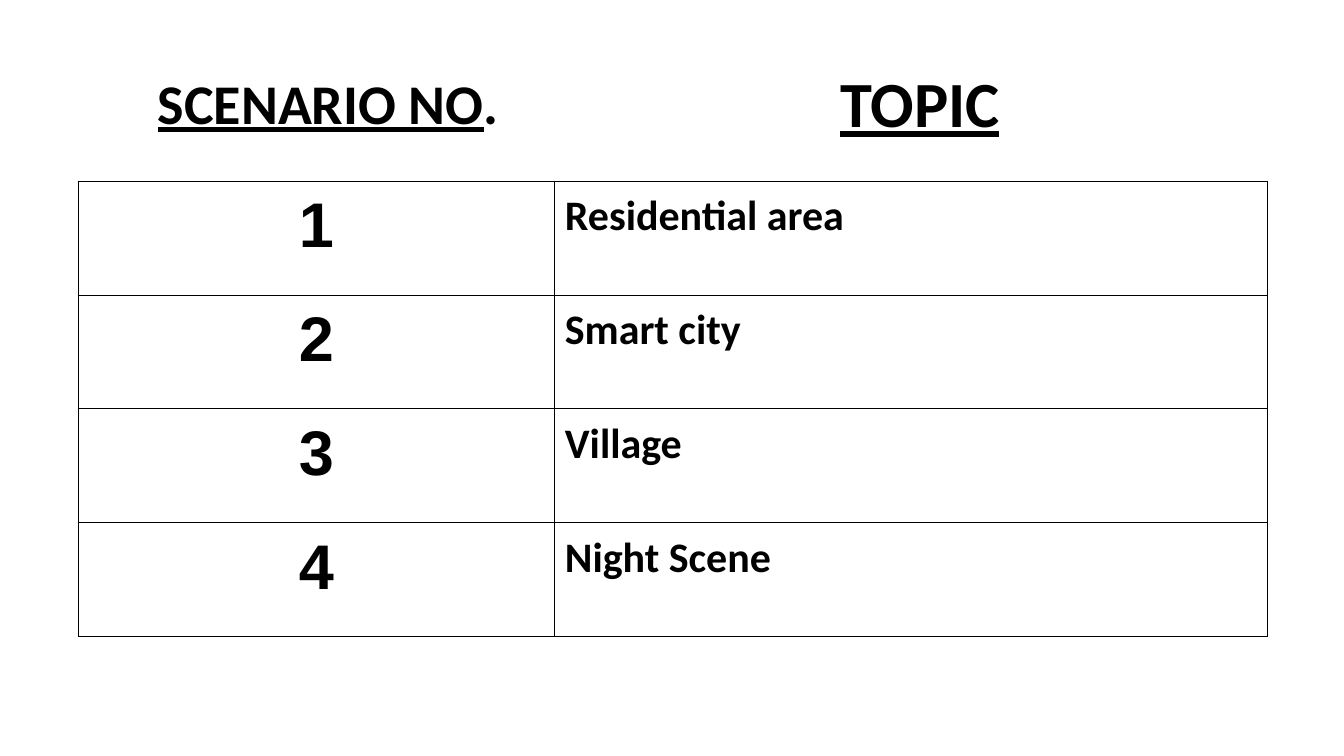
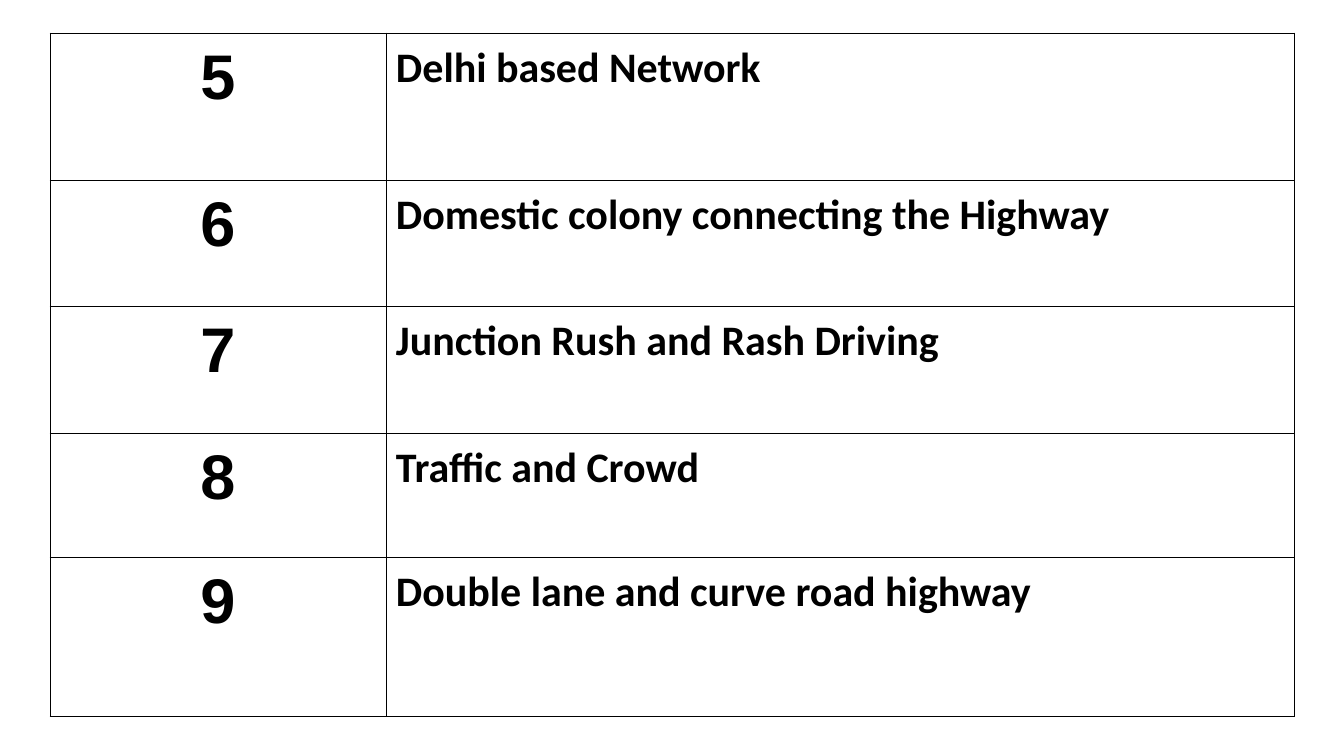
import lxml.etree
import pptx
import pptx.dml.color
import pptx.enum.text
import pptx.oxml.ns
import pptx.util

PX = 914400 / 100.8  # EMU per pixel
BLACK = "000000"
INSET = 10
CENTER = pptx.enum.text.PP_ALIGN.CENTER
LEFT = pptx.enum.text.PP_ALIGN.LEFT


def px(length):
    return pptx.util.Emu(round(length * PX))


def add_run(paragraph, text, font_name, size, underline=False):
    run = paragraph.add_run()
    run.text = text
    run.font.name = font_name
    run.font.size = pptx.util.Pt(size)
    run.font.bold = True
    run.font.underline = underline
    run.font.color.rgb = pptx.dml.color.RGBColor.from_string(BLACK)


deck = pptx.Presentation()
deck.slide_width, deck.slide_height = px(1344), px(756)
blank_layout = deck.slide_layouts[6]

# Column headings: left, top, width, height, size, runs (text, underlined)
column_headings = [
    (70, 58, 529, 89, 40, [("SCENARIO NO", True), (". ", False)]),
    (571, 53, 698, 99, 46, [("TOPIC", True)]),
]

# One entry per slide: headings, table corner, column widths, row heights, topics
scenario_slides = [
    (column_headings, (78, 181), (477, 713), [114] * 4,
     ["Residential area", "Smart city", "Village", "Night Scene"]),
    ([], (50, 33), (336, 909), [147, 126, 127, 124, 159],
     ["Delhi based Network", "Domestic colony connecting the Highway",
      "Junction Rush and Rash Driving", "Traffic and Crowd",
      "Double lane and curve road highway"]),
]

scenario_number = 0
for headings, (left, top), column_widths, row_heights, topics in scenario_slides:
    slide = deck.slides.add_slide(blank_layout)

    # Headings above the table
    for x, y, width, height, size, parts in headings:
        heading = slide.shapes.add_textbox(px(x), px(y), px(width), px(height)).text_frame
        heading.word_wrap = True
        heading.margin_left = heading.margin_right = px(INSET)
        heading.margin_top = heading.margin_bottom = px(INSET)
        heading.paragraphs[0].alignment = CENTER
        for text, underlined in parts:
            add_run(heading.paragraphs[0], text, "Calibri", size, underlined)

    # Scenario table
    scenarios = slide.shapes.add_table(
        len(topics), 2, px(left), px(top),
        px(sum(column_widths)), px(sum(row_heights))).table
    scenarios.first_row = scenarios.horz_banding = False
    for column, width in zip(scenarios.columns, column_widths):
        column.width = px(width)

    for row, height, topic in zip(scenarios.rows, row_heights, topics):
        row.height = px(height)
        scenario_number += 1
        contents = [(str(scenario_number), "Arial", 45, CENTER),
                    (topic, "Calibri", 30, LEFT)]
        for cell, (text, font_name, size, alignment) in zip(row.cells, contents):
            cell.margin_left = cell.margin_right = px(INSET)
            cell.margin_top = cell.margin_bottom = px(INSET)
            paragraph = cell.text_frame.paragraphs[0]
            paragraph.alignment = alignment
            add_run(paragraph, text, font_name, size)

            # Thin borders come before the fill in the cell properties
            properties = cell._tc.get_or_add_tcPr()
            for side in ("a:lnL", "a:lnR", "a:lnT", "a:lnB"):
                border = lxml.etree.SubElement(
                    properties, pptx.oxml.ns.qn(side), w=str(pptx.util.Pt(0.75)))
                line_fill = lxml.etree.SubElement(border, pptx.oxml.ns.qn("a:solidFill"))
                lxml.etree.SubElement(line_fill, pptx.oxml.ns.qn("a:srgbClr"), val=BLACK)
            cell.fill.background()

deck.save("out.pptx")
